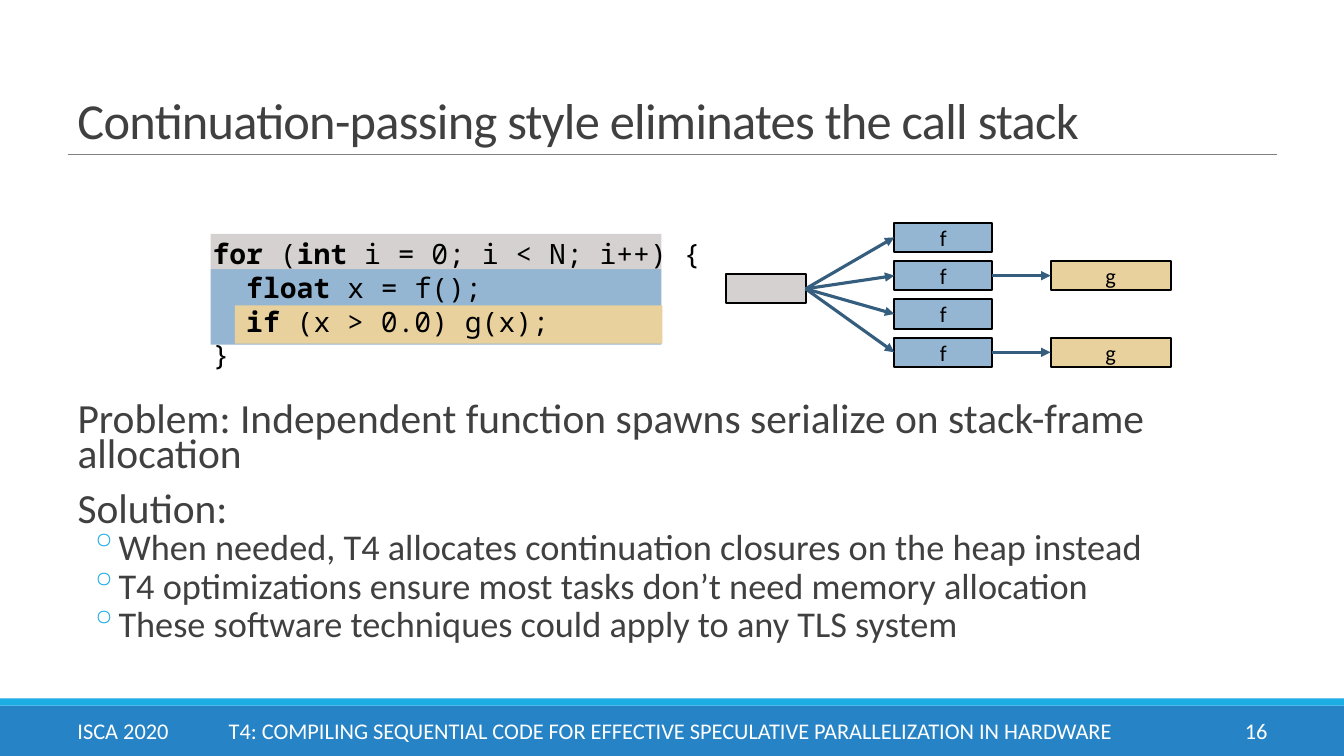
import pptx
import pptx.util
import pptx.dml.color
import pptx.enum.shapes
import pptx.enum.text
from dataclasses import dataclass
from lxml import etree

Inches = pptx.util.Inches
Pt = pptx.util.Pt
Align = pptx.enum.text.PP_ALIGN
Anchor = pptx.enum.text.MSO_ANCHOR


@dataclass(frozen=True)
class Theme:
    sans: str = "Calibri"
    mono: str = "Noto Sans Mono"
    head: float = 36
    body: float = 29.6
    sub: float = 25.9
    code: float = 20
    small: float = 16
    ink: str = "404040"
    black: str = "000000"
    white: str = "FFFFFF"
    rule: str = "808080"
    band: str = "2683C6"
    trim: str = "1CADE4"
    blue: str = "94B6D2"
    gray: str = "D5D1D1"
    sand: str = "E8D19D"
    arrow: str = "355D7E"


def rgb(color):
    return pptx.dml.color.RGBColor.from_string(color)


def sub(parent, tag, **attrs):
    node = etree.SubElement(parent, pptx.oxml.ns.qn(tag))
    for key, value in attrs.items():
        node.set(key, value)
    return node


class Deck:
    def __init__(self, theme):
        self.theme = theme
        self.prs = pptx.Presentation()
        self.prs.slide_width = Inches(13.33)
        self.prs.slide_height = Inches(7.5)
        self.slide = self.prs.slides.add_slide(self.prs.slide_layouts[6])
        self.shapes = self.slide.shapes

    def font(self, para, size, color, name=None):
        para.font.name = name or self.theme.sans
        para.font.size = Pt(size)
        para.font.color.rgb = rgb(color)

    def rect(self, left, top, width, height, fill):
        kind = pptx.enum.shapes.MSO_SHAPE.RECTANGLE
        shape = self.shapes.add_shape(
            kind, Inches(left), Inches(top), Inches(width), Inches(height))
        shape.shadow.inherit = False
        shape.fill.solid()
        shape.fill.fore_color.rgb = rgb(fill)
        shape.line.fill.background()
        return shape

    def node(self, left, top, width, fill, label=""):
        shape = self.rect(left, top, width, 0.29, fill)
        shape.line.color.rgb = rgb(self.theme.black)
        shape.line.width = Pt(1.5)
        if label:
            frame = shape.text_frame
            frame.margin_left = frame.margin_right = 0
            frame.margin_top = frame.margin_bottom = 0
            frame.vertical_anchor = Anchor.MIDDLE
            para = frame.paragraphs[0]
            para.text = label
            para.alignment = Align.CENTER
            self.font(para, self.theme.small, self.theme.black)
        return shape

    def line(self, start, end, color, width):
        kind = pptx.enum.shapes.MSO_CONNECTOR.STRAIGHT
        line = self.shapes.add_connector(
            kind, *(Inches(n) for n in (*start, *end)))
        line.line.color.rgb = rgb(color)
        line.line.width = Pt(width)
        sub(line._element.spPr, "a:effectLst")
        return line

    def link(self, source, target):
        line = self.line((0, 0), (1, 1), self.theme.arrow, 2.25)
        line.begin_connect(source, 3)
        line.end_connect(target, 1)
        sub(line.line._get_or_add_ln(), "a:tailEnd", type="triangle")

    def box(self, left, top, width, height, anchor=Anchor.TOP):
        shape = self.shapes.add_textbox(
            Inches(left), Inches(top), Inches(width), Inches(height))
        frame = shape.text_frame
        frame.word_wrap = True
        frame.vertical_anchor = anchor
        return frame

    def title(self, text):
        para = self.box(0.67, 0.54, 12, 0.99, Anchor.BOTTOM).paragraphs[0]
        para.line_spacing = 0.85
        run = para.add_run()
        run.text = text
        run._r.get_or_add_rPr().set("spc", "-50")
        self.font(para, self.theme.head, self.theme.ink)

    def body(self, items):
        frame = self.box(0.67, 3.98, 12, 2.72)
        frame.margin_left = frame.margin_right = 0
        for i, (level, text) in enumerate(items):
            para = frame.add_paragraph() if i else frame.paragraphs[0]
            para.text = text
            para.level = level
            para.line_spacing = 0.7
            para.space_before = Pt((2 if level else 12) if i else 0)
            para.space_after = Pt(4 if level else 2)
            props = para._p.get_or_add_pPr()
            props.set("marL", str(Inches(0.42 if level else 0.1)))
            props.set("indent", str(Inches(-0.2 if level else 0)))
            if level:
                sub(sub(props, "a:buClr"), "a:srgbClr", val=self.theme.trim)
                sub(props, "a:buChar", char="◦")
            else:
                sub(props, "a:buNone")
            size = self.theme.sub if level else self.theme.body
            self.font(para, size, self.theme.ink)

    def foot(self, left, width, text, align=Align.LEFT, tab=None):
        para = self.box(left, 7.05, width, 0.4, Anchor.MIDDLE).paragraphs[0]
        para.text = text
        para.alignment = align
        if tab:
            tabs = sub(para._p.get_or_add_pPr(), "a:tabLst")
            sub(tabs, "a:tab", pos=str(Inches(tab)), algn="l")
        self.font(para, self.theme.small, self.theme.white)

    def code(self, lines):
        frame = self.box(2.01, 2.3, 5.19, 1.19)
        for i, line in enumerate(lines):
            para = frame.add_paragraph() if i else frame.paragraphs[0]
            for j, part in enumerate(line.split("*")):
                if part:
                    run = para.add_run()
                    run.text = part
                    run.font.bold = j % 2 == 1
            self.font(para, self.theme.code, self.theme.black, self.theme.mono)


def main():
    theme = Theme()
    deck = Deck(theme)
    deck.rect(0, 7, 13.33, 0.5, theme.band)
    deck.rect(0, 6.93, 13.33, 0.07, theme.trim)
    deck.line((0.67, 1.53), (12.67, 1.53), theme.rule, 0.5)
    deck.rect(2.09, 2.67, 4.47, 0.75, theme.blue)
    deck.rect(2.09, 2.32, 4.47, 0.35, theme.gray)
    deck.rect(2.33, 3.03, 4.24, 0.38, theme.sand)

    deck.title("Continuation-passing style eliminates the call stack")
    deck.body([
        (0, "Problem: Independent function spawns serialize on stack-frame allocation"),
        (0, "Solution:"),
        (1, "When needed, T4 allocates continuation closures on the heap instead"),
        (1, "T4 optimizations ensure most tasks don’t need memory allocation"),
        (1, "These software techniques could apply to any TLS system"),
    ])
    deck.foot(11.24, 1.43, "16", Align.RIGHT)
    deck.foot(0.67, 10.57, "ISCA 2020\tT4: COMPILING SEQUENTIAL CODE FOR EFFECTIVE "
              "SPECULATIVE PARALLELIZATION IN HARDWARE", tab=1.5)

    root = deck.node(7.2, 2.72, 0.79, theme.gray)
    for row in range(4):
        top = 2.21 + 0.38 * row
        call = deck.node(8.87, top, 0.97, theme.blue, "f")
        deck.link(root, call)
        if row % 2:
            deck.link(call, deck.node(10.42, top, 1.19, theme.sand, "g"))

    deck.code([
        "*for* (*int *i = 0; i < N; i++) {",
        "  *float *x = f();",
        "  *if* (x > 0.0) g(x);",
        "}",
    ])
    deck.prs.save("out.pptx")


if __name__ == "__main__":
    main()
